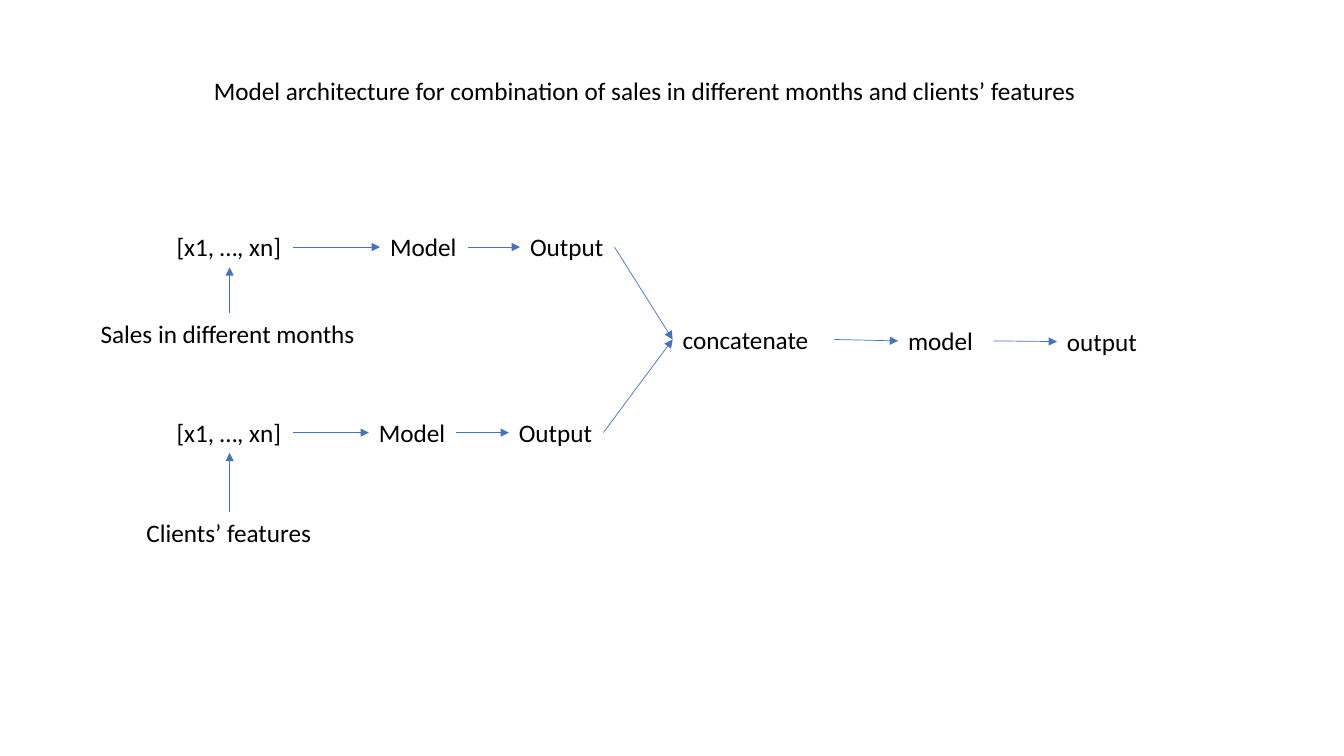
from lxml.etree import SubElement
from pptx import Presentation
from pptx.dml.color import RGBColor
from pptx.enum.shapes import MSO_CONNECTOR
from pptx.enum.text import MSO_ANCHOR, MSO_AUTO_SIZE, PP_ALIGN
from pptx.oxml.ns import qn
from pptx.util import Pt

COLORS = {"text": "000000", "arrow": "4472C4"}
TOP, LEFT, BOTTOM, RIGHT = range(4)
LABEL_HEIGHT = 29


def write_text(shape, text, wrap):
    frame = shape.text_frame
    frame.text = text
    frame.word_wrap = wrap
    frame.auto_size = MSO_AUTO_SIZE.NONE
    frame.vertical_anchor = MSO_ANCHOR.TOP
    paragraph = frame.paragraphs[0]
    paragraph.alignment = PP_ALIGN.LEFT
    paragraph.font.name = "Calibri"
    paragraph.font.size = Pt(18)
    paragraph.font.color.rgb = RGBColor.from_string(COLORS["text"])


def set_title(slide, text):
    title = slide.shapes.title
    title.left, title.top = Pt(145.5), Pt(50.5)
    title.width, title.height = Pt(640), Pt(51)
    write_text(title, text, False)


def add_label(slide, text, left, top, width):
    label = slide.shapes.add_textbox(Pt(left), Pt(top), Pt(width), Pt(LABEL_HEIGHT))
    write_text(label, text, " " not in text)
    return label


def add_arrow(slide, source, target, source_side=RIGHT, target_side=LEFT):
    arrow = slide.shapes.add_connector(MSO_CONNECTOR.STRAIGHT, 0, 0, 0, 0)
    arrow.begin_connect(source, source_side)
    arrow.end_connect(target, target_side)
    arrow.line.color.rgb = RGBColor.from_string(COLORS["arrow"])
    arrow.line.width = Pt(0.5)
    SubElement(arrow.line._get_or_add_ln(), qn("a:tailEnd"), type="triangle")
    SubElement(arrow._element.spPr, qn("a:effectLst"))


def add_chain(slide, labels):
    for source, target in zip(labels, labels[1:]):
        add_arrow(slide, source, target)


def add_branch(slide, top, model_left, caption, caption_top, caption_width):
    vector_left, vector_width = 119, 90
    caption_left = vector_left + (vector_width - caption_width) / 2
    vector = add_label(slide, "[x1, …, xn]", vector_left, top, vector_width)
    model = add_label(slide, "Model", model_left, top, 62.5)
    output = add_label(slide, "Output", model_left + 100, top, 67.5)
    source = add_label(slide, caption, caption_left, caption_top, caption_width)
    add_chain(slide, [vector, model, output])
    add_arrow(slide, source, vector, TOP, BOTTOM)
    return output


def main():
    presentation = Presentation()
    presentation.slide_width, presentation.slide_height = Pt(960), Pt(540)
    slide = presentation.slides.add_slide(presentation.slide_layouts[5])
    set_title(
        slide,
        "Model architecture for combination of sales in different months"
        " and clients’ features",
    )
    branches = [
        add_branch(slide, 162, 271.5, "Sales in different months", 223.5, 198.5),
        add_branch(slide, 294.5, 263.5, "Clients’ features", 366, 133),
    ]
    concatenate = add_label(slide, "concatenate", 480.5, 228, 115.5)
    model = add_label(slide, "model", 641.5, 229, 68)
    output = add_label(slide, "output", 755, 229.5, 68)
    for branch in branches:
        add_arrow(slide, branch, concatenate)
    add_chain(slide, [concatenate, model, output])
    presentation.save("out.pptx")


main()
